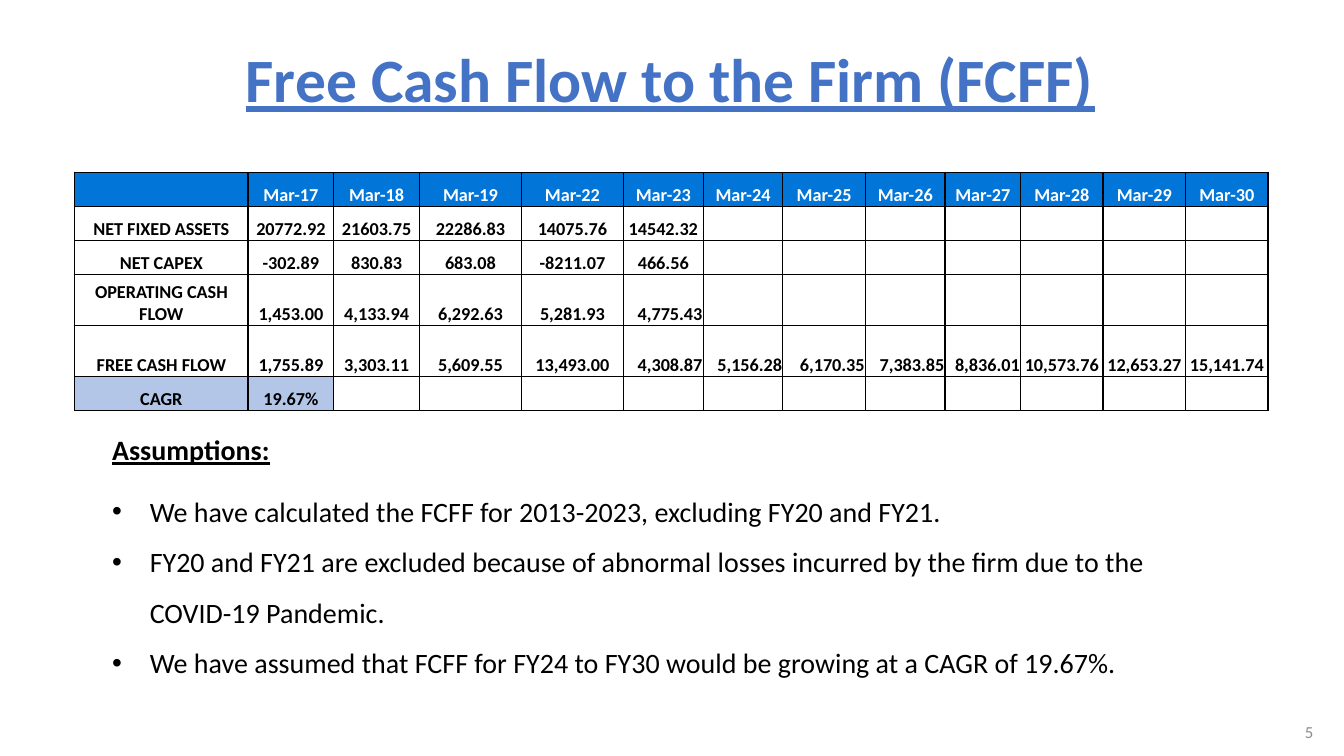
from lxml.etree import SubElement
from pptx import Presentation
from pptx.dml.color import RGBColor
from pptx.enum.text import MSO_ANCHOR as Anchor, MSO_AUTO_SIZE as Fit, PP_ALIGN as Align
from pptx.oxml.ns import qn
from pptx.util import Cm, Pt

FONT = "Calibri"
BLACK = RGBColor(0x00, 0x00, 0x00)
WHITE = RGBColor(0xFF, 0xFF, 0xFF)
BLUE = RGBColor(0x44, 0x72, 0xC4)
HEAD = RGBColor(0x02, 0x75, 0xD8)
PALE = RGBColor(0xB4, 0xC6, 0xE7)
GREY = RGBColor(0x8C, 0x8C, 0x8C)

WIDTHS = [4.37, 2.16, 2.16, 2.57, 2.57, 2.01, 2.01, 2.08, 2.01, 1.9, 2.08, 2.08, 2.08]
HEIGHTS = [0.86, 0.86, 0.86, 1.28, 1.28, 0.86]
YEARS = [17, 18, 19, *range(22, 31)]
ROWS = [
    [""] + [f"Mar-{year}" for year in YEARS],
    ["NET FIXED ASSETS", "20772.92", "21603.75", "22286.83", "14075.76", "14542.32"],
    ["NET CAPEX", "-302.89", "830.83", "683.08", "-8211.07", "466.56"],
    ["OPERATING CASH FLOW", "1,453.00", "4,133.94", "6,292.63", "5,281.93", "4,775.43"],
    ["FREE CASH FLOW", "1,755.89", "3,303.11", "5,609.55", "13,493.00", "4,308.87",
     "5,156.28", "6,170.35", "7,383.85", "8,836.01", "10,573.76", "12,653.27", "15,141.74"],
    ["CAGR", "19.67%"],
]
FLOWS = (3, 4)
TIGHT = range(5, 10)

NOTES = [
    "Assumptions:",
    "We have calculated the FCFF for 2013-2023, excluding FY20 and FY21.",
    "FY20 and FY21 are excluded because of abnormal losses incurred by the firm "
    "due to the COVID-19 Pandemic.",
    "We have assumed that FCFF for FY24 to FY30 would be growing at a CAGR of 19.67%.",
]


def place(shape, left, top, width, height):
    shape.left, shape.top = Cm(left), Cm(top)
    shape.width, shape.height = Cm(width), Cm(height)


def style(para, size, color, bold=False, line=False):
    for run in para.runs:
        font = run.font
        font.name, font.size = FONT, Pt(size)
        font.bold, font.underline = bold, line
        font.color.rgb = color


def set_bullet(para, char=None):
    """Give the paragraph a hanging bullet, or none without a character."""
    props = para._p.get_or_add_pPr()
    hang = Cm(0.95) if char else 0
    props.set("marL", str(hang))
    props.set("indent", str(-hang))
    if char:
        SubElement(props, qn("a:buChar"), char=char)
    else:
        SubElement(props, qn("a:buNone"))


def add_title(slide):
    title = slide.shapes.title
    place(title, 5.94, 1.12, 21.97, 3.51)
    frame = title.text_frame
    frame.text = "Free Cash Flow to the Firm (FCFF)"
    frame.auto_size, frame.vertical_anchor = Fit.NONE, Anchor.TOP
    para = frame.paragraphs[0]
    para.alignment, para.line_spacing = Align.LEFT, 0.9
    style(para, 44, BLUE, True, True)


def add_notes(slide):
    body = slide.placeholders[1]
    place(body, 2.57, 10.36, 27.64, 6.83)
    frame = body.text_frame
    frame.text = "\n".join(NOTES)
    frame.auto_size, frame.vertical_anchor = Fit.NONE, Anchor.TOP
    last = len(NOTES) - 1
    for pos, para in enumerate(frame.paragraphs):
        para.line_spacing, para.space_before = 1.5, Pt(0)
        para.space_after = Pt(8 if pos in (0, last) else 0)
        set_bullet(para, "•" if pos else None)
        style(para, 20, BLACK, pos == 0, pos == 0)


def add_edges(cell):
    props = cell._tc.get_or_add_tcPr()
    for side in ("lnL", "lnR", "lnT", "lnB"):
        edge = SubElement(props, qn(f"a:{side}"), w=str(Pt(1)))
        fill = SubElement(edge, qn("a:solidFill"))
        SubElement(fill, qn("a:srgbClr"), val=str(BLACK))


def fill_cell(cell, text, color, back, align):
    cell.margin_left = cell.margin_right = cell.margin_top = Cm(0.02)
    cell.margin_bottom = 0
    cell.vertical_anchor = Anchor.BOTTOM
    add_edges(cell)
    if back is None:
        cell.fill.background()
    else:
        cell.fill.solid()
        cell.fill.fore_color.rgb = back
    if text:
        cell.text_frame.text = text
        para = cell.text_frame.paragraphs[0]
        para.alignment = align
        style(para, 13, color, True)


def add_flows(slide):
    frame = slide.shapes.add_table(len(HEIGHTS), len(WIDTHS), Cm(1.88), Cm(4.34),
                                   Cm(sum(WIDTHS)), Cm(sum(HEIGHTS)))
    table = frame.table
    table.first_row = table.horz_banding = False
    for col, width in zip(table.columns, WIDTHS):
        col.width = Cm(width)
    for row, height in zip(table.rows, HEIGHTS):
        row.height = Cm(height)
    for r, texts in enumerate(ROWS):
        for c in range(len(WIDTHS)):
            text = texts[c] if c < len(texts) else ""
            back = HEAD if r == 0 else PALE if texts[0] == "CAGR" and text else None
            align = Align.RIGHT if r in FLOWS and c in TIGHT else Align.CENTER
            fill_cell(table.cell(r, c), text, BLACK if r else WHITE, back, align)


def add_number(slide):
    box = slide.shapes.add_textbox(Cm(25.73), Cm(17.93), Cm(7.62), Cm(1.02))
    frame = box.text_frame
    frame.word_wrap, frame.vertical_anchor = True, Anchor.MIDDLE
    frame.text = "5"
    para = frame.paragraphs[0]
    para.alignment = Align.RIGHT
    style(para, 12, GREY)


def main():
    deck = Presentation()
    deck.slide_width, deck.slide_height = Cm(33.87), Cm(19.05)
    slide = deck.slides.add_slide(deck.slide_layouts[1])
    add_title(slide)
    add_notes(slide)
    add_flows(slide)
    add_number(slide)
    deck.save("out.pptx")


if __name__ == "__main__":
    main()
